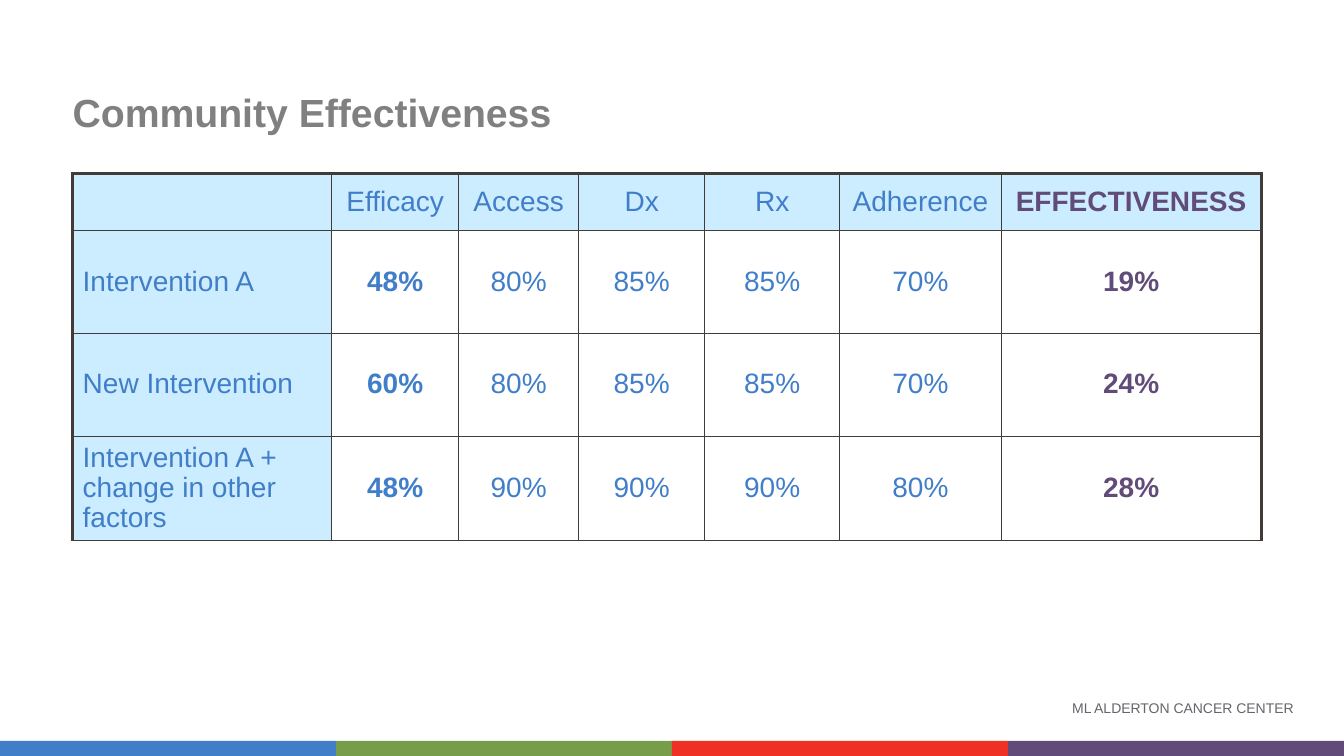
from lxml import etree
from pptx import Presentation
from pptx.dml.color import RGBColor
from pptx.enum import shapes, text
from pptx.oxml import ns
from pptx.util import Inches, Pt

COLORS = {
    "blue": "407EC9", "green": "789D4A", "red": "EE3124", "purple": "614B79",
    "header": "CCECFF", "border": "413C38", "title": "808080", "footer": "63666A",
}


def write(para, words, size, color, bold=False, align=text.PP_ALIGN.LEFT, spacing=1.0):
    para.alignment = align
    para.line_spacing = spacing
    span = para.add_run()
    span.text = words
    formats = {"name": "Arial", "size": Pt(size), "bold": bold}
    for name, value in formats.items():
        setattr(span.font, name, value)
    span.font.color.rgb = RGBColor.from_string(COLORS[color])


def add_borders(cell, widths):
    properties = cell._tc.get_or_add_tcPr()
    for position, (side, width) in enumerate(widths.items()):
        line = etree.Element(ns.qn(f"a:ln{side}"), w=str(Pt(width)))
        fill = etree.SubElement(line, ns.qn("a:solidFill"))
        etree.SubElement(fill, ns.qn("a:srgbClr"), val=COLORS["border"])
        properties.insert(position, line)


deck = Presentation()
deck.slide_width, deck.slide_height = Inches(13.33), Inches(7.5)
page = deck.slides.add_slide(deck.slide_layouts[5])

title = page.shapes.title
title.left, title.top = Inches(0.72), Inches(0.42)
title.width, title.height = Inches(12.11), Inches(0.93)
footer = page.shapes.add_textbox(Inches(10.35), Inches(6.7), Inches(2.48), Inches(0.65))
for box, anchor in ((title, text.MSO_ANCHOR.BOTTOM), (footer, text.MSO_ANCHOR.MIDDLE)):
    frame_formats = {
        "margin_left": 0, "margin_right": 0, "margin_top": 0, "margin_bottom": 0,
        "word_wrap": True, "auto_size": text.MSO_AUTO_SIZE.NONE, "vertical_anchor": anchor,
    }
    for name, value in frame_formats.items():
        setattr(box.text_frame, name, value)
write(title.text_frame.paragraphs[0], "Community Effectiveness", 28, "title", True, spacing=0.9)
write(footer.text_frame.paragraphs[0], "ML ALDERTON CANCER CENTER", 10, "footer",
      align=text.PP_ALIGN.RIGHT)

band_width = 13.33 / 4
for index, color in enumerate(("blue", "green", "red", "purple")):
    band = page.shapes.add_shape(shapes.MSO_SHAPE.RECTANGLE, Inches(index * band_width),
                                 Inches(7.35), Inches(band_width), Inches(0.15))
    band.shadow.inherit = False
    band.fill.solid()
    band.fill.fore_color.rgb = RGBColor.from_string(COLORS[color])
    band.line.fill.background()

rows = [
    ["", "Efficacy", "Access", "Dx", "Rx", "Adherence", "EFFECTIVENESS"],
    ["Intervention A", "48%", "80%", "85%", "85%", "70%", "19%"],
    ["New Intervention", "60%", "80%", "85%", "85%", "70%", "24%"],
    ["Intervention A + change in other factors", "48%", "90%", "90%", "90%", "80%", "28%"],
]
column_widths = [2.57, 1.26, 1.19, 1.25, 1.34, 1.6, 2.58]
row_heights = [0.57, 1.02, 1.02, 1.03]
last = len(column_widths) - 1

table = page.shapes.add_table(len(rows), len(column_widths), Inches(0.72), Inches(1.72),
                              Inches(sum(column_widths)), Inches(sum(row_heights))).table
table.first_row = False
table.horz_banding = False
for column, width in zip(table.columns, column_widths):
    column.width = Inches(width)
for row, height in zip(table.rows, row_heights):
    row.height = Inches(height)

for r, values in enumerate(rows):
    for c, words in enumerate(values):
        cell = table.cell(r, c)
        cell_formats = {
            "margin_left": Inches(0.1), "margin_right": Inches(0.1),
            "margin_top": Inches(0.05), "margin_bottom": Inches(0.05),
            "vertical_anchor": text.MSO_ANCHOR.MIDDLE,
        }
        for name, value in cell_formats.items():
            setattr(cell, name, value)
        if r == 0 or c == 0:
            cell.fill.solid()
            cell.fill.fore_color.rgb = RGBColor.from_string(COLORS["header"])
        else:
            cell.fill.background()
        add_borders(cell, {
            "L": 2.25 if c == 0 else 1, "R": 2.25 if c == last else 1,
            "T": 2.25 if r == 0 else 1, "B": 1,
        })
        if words:
            write(cell.text_frame.paragraphs[0], words, 20,
                  "purple" if c == last else "blue",
                  c == last or (c == 1 and r > 0),
                  text.PP_ALIGN.CENTER if c else text.PP_ALIGN.LEFT, 0.96)

deck.save("out.pptx")
